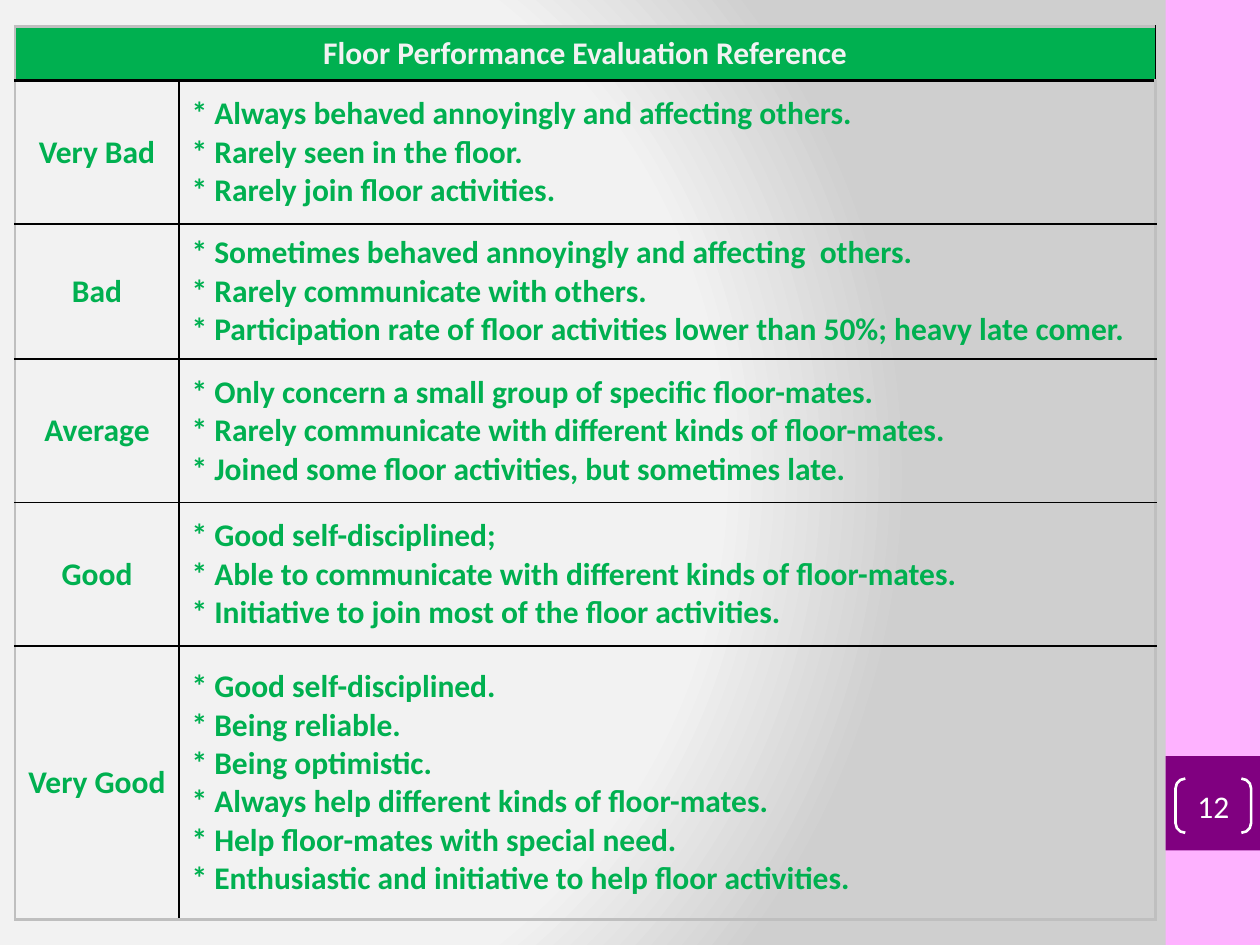
import pptx
import pptx.util
import pptx.dml.color
import pptx.enum.shapes
import pptx.enum.text
import pptx.oxml
import pptx.oxml.ns

Inches, Pt = pptx.util.Inches, pptx.util.Pt
RGB = pptx.dml.color.RGBColor.from_string
SHAPE = pptx.enum.shapes.MSO_SHAPE
ALIGN = pptx.enum.text.PP_ALIGN
MIDDLE = pptx.enum.text.MSO_ANCHOR.MIDDLE
NS = pptx.oxml.ns.nsdecls("a", "p")

COLORS = {
    "green": "00B050", "heading": "F2F2F2", "white": "FFFFFF",
    "pink": "FEB2FF", "purple": "800080", "rule": "000000", "frame": "BFBFBF",
}
BACKGROUND = [(0, "F3F3F3"), (75, "F2F2F2"), (100, "CFCFCF")]
TITLE = "Floor Performance Evaluation Reference"
RATINGS = [
    ("Very Bad", ["* Always behaved annoyingly and affecting others.",
                  "* Rarely seen in the floor.",
                  "* Rarely join floor activities."]),
    ("Bad", ["* Sometimes behaved annoyingly and affecting  others.",
             "* Rarely communicate with others.",
             "* Participation rate of floor activities lower than 50%; heavy late comer."]),
    ("Average", ["* Only concern a small group of specific floor-mates.",
                 "* Rarely communicate with different kinds of floor-mates.",
                 "* Joined some floor activities, but sometimes late."]),
    ("Good", ["* Good self-disciplined;",
              "* Able to communicate with different kinds of floor-mates.",
              "* Initiative to join most of the floor activities."]),
    ("Very Good", ["* Good self-disciplined.\v* Being reliable.",
                   "* Being optimistic.",
                   "* Always help different kinds of floor-mates.",
                   "* Help floor-mates with special need.",
                   "* Enthusiastic and initiative to help floor activities."]),
]
COL_WIDTHS = [1.3, 7.75]
ROW_HEIGHTS = [0.43, 1.14, 1.07, 1.14, 1.14, 2.17]


def write(tf, lines, color="green", bold=True, align=ALIGN.LEFT):
    """Fill a text frame with one paragraph per line."""
    for i, line in enumerate(lines):
        p = tf.add_paragraph() if i else tf.paragraphs[0]
        p.text = line
        p.alignment = align
        for r in p.runs:
            r.font.name, r.font.size, r.font.bold = "Calibri", Pt(18), bold
            r.font.color.rgb = RGB(COLORS[color])


def set_border(cell, side, color, width):
    """Add one cell edge; the fill has to be set afterwards."""
    cell._tc.get_or_add_tcPr().append(pptx.oxml.parse_xml(
        f'<a:ln{side} {NS} w="{Pt(width)}"><a:solidFill>'
        f'<a:srgbClr val="{COLORS[color]}"/></a:solidFill></a:ln{side}>'))


prs = pptx.Presentation()
prs.slide_width, prs.slide_height = Inches(10), Inches(7.5)
W, H = prs.slide_width, prs.slide_height
s = prs.slides.add_slide(prs.slide_layouts[6])

stops = "".join(f'<a:gs pos="{pos * 1000}"><a:srgbClr val="{color}"/></a:gs>'
                for pos, color in BACKGROUND)
s._element.cSld.insert(0, pptx.oxml.parse_xml(
    f'<p:bg {NS}><p:bgPr><a:gradFill rotWithShape="1"><a:gsLst>{stops}</a:gsLst>'
    '<a:path path="circle"><a:fillToRect l="20000" t="50000" r="100000" b="50000"/>'
    '</a:path></a:gradFill><a:effectLst/></p:bgPr></p:bg>'))

# Side band with the page number block
band_left, band_width = int(W * 0.925), int(W * 0.075)
for top, height, color in [(0, H, "pink"), (int(H * 0.8), int(H * 0.1), "purple")]:
    sp = s.shapes.add_shape(SHAPE.RECTANGLE, band_left, top, band_width, height)
    sp.shadow.inherit = False
    sp.fill.solid()
    sp.fill.fore_color.rgb = RGB(COLORS[color])
    sp.line.fill.background()

# Evaluation table
last_row, last_col = len(ROW_HEIGHTS) - 1, len(COL_WIDTHS) - 1
table = s.shapes.add_table(
    len(ROW_HEIGHTS), len(COL_WIDTHS), Inches(0.12), Inches(0.21),
    Inches(sum(COL_WIDTHS)), Inches(sum(ROW_HEIGHTS))).table
table.first_row = table.horz_banding = False
for column, width in zip(table.columns, COL_WIDTHS):
    column.width = Inches(width)
for row, height in zip(table.rows, ROW_HEIGHTS):
    row.height = Inches(height)

for i in range(last_row + 1):
    for j in range(last_col + 1):
        cell = table.cell(i, j)
        cell.vertical_anchor = MIDDLE
        if j == 0:
            cell.margin_left = cell.margin_right = Inches(0.05)
        outer = {"L": j == 0, "R": j == last_col, "T": i == 0, "B": i == last_row}
        for side, on_frame in outer.items():
            heavy = (i, side) in [(0, "B"), (1, "T"), (last_row - 1, "B"), (last_row, "T")]
            set_border(cell, side, "frame" if on_frame else "rule",
                       1.5 if on_frame or heavy else 1)
        if i == 0:
            cell.fill.solid()
            cell.fill.fore_color.rgb = RGB(COLORS["green"])
        else:
            cell.fill.background()

table.cell(0, 0).merge(table.cell(0, last_col))
write(table.cell(0, 0).text_frame, [TITLE], color="heading", align=ALIGN.CENTER)
for i, (rating, criteria) in enumerate(RATINGS, start=1):
    write(table.cell(i, 0).text_frame, [rating], align=ALIGN.CENTER)
    write(table.cell(i, 1).text_frame, criteria)

# Page number
sp = s.shapes.add_shape(SHAPE.DOUBLE_BRACKET, Inches(9.33), Inches(6.18),
                        Inches(0.6), Inches(0.43))
sp.adjustments[0] = 0.18
sp.shadow.inherit = False
sp.fill.background()
sp.line.color.rgb = RGB(COLORS["white"])
sp.line.width = Pt(1.5)
tf = sp.text_frame
tf.margin_left = tf.margin_right = tf.margin_top = tf.margin_bottom = 0
tf.vertical_anchor = MIDDLE
write(tf, ["12"], color="white", bold=False, align=ALIGN.CENTER)

prs.save("out.pptx")
